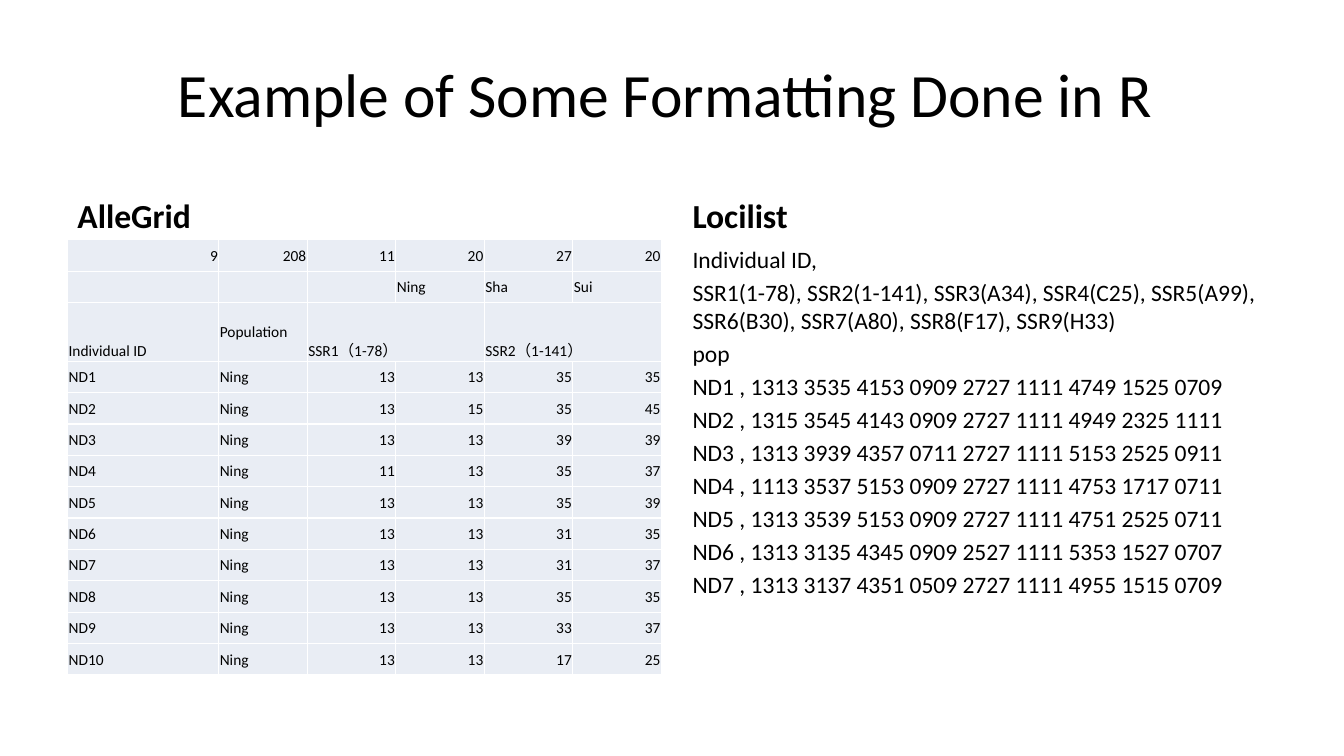
from lxml import etree
from pptx import Presentation
from pptx import util as u
from pptx.dml.color import RGBColor
from pptx.enum import text
from pptx.oxml.ns import qn

BLACK = RGBColor(0x00, 0x00, 0x00)
WHITE = RGBColor(0xFF, 0xFF, 0xFF)
PALE_BLUE = RGBColor(0xE9, 0xED, 0xF4)

LEFT, RIGHT = 0.67, 6.77
HEADING_TOP, HEADING_HEIGHT = 1.68, 0.7
BODY_TOP, BODY_HEIGHT = 2.38, 4.32
COLUMN_WIDTH = 5.89

GRID_ROWS = [
    ["9", "208", "11", "20", "27", "20"],
    ["", "", "", "Ning", "Sha", "Sui"],
    ["Individual ID", "Population", "SSR1（1-78）", "", "SSR2（1-141）", ""],
]
GENOTYPES = [
    "13 13 35 35", "13 15 35 45", "13 13 39 39", "11 13 35 37", "13 13 35 39",
    "13 13 31 35", "13 13 31 37", "13 13 35 35", "13 13 33 37", "13 13 17 25",
]
GRID_ROWS += [
    [f"ND{number}", "Ning", *genotype.split()]
    for number, genotype in enumerate(GENOTYPES, start=1)
]
HEADER_ROW = 2

LISTING_LINES = [
    "Individual ID,",
    "SSR1(1-78), SSR2(1-141), SSR3(A34), SSR4(C25), SSR5(A99), "
    "SSR6(B30), SSR7(A80), SSR8(F17), SSR9(H33)",
    "pop",
    "ND1 , 1313 3535 4153 0909 2727 1111 4749 1525 0709",
    "ND2 , 1315 3545 4143 0909 2727 1111 4949 2325 1111",
    "ND3 , 1313 3939 4357 0711 2727 1111 5153 2525 0911",
    "ND4 , 1113 3537 5153 0909 2727 1111 4753 1717 0711",
    "ND5 , 1313 3539 5153 0909 2727 1111 4751 2525 0711",
    "ND6 , 1313 3135 4345 0909 2527 1111 5353 1527 0707",
    "ND7 , 1313 3137 4351 0509 2727 1111 4955 1515 0709",
]


class SlideBuilder:
    """Holds the text style and the slide being filled."""

    font_name = "Calibri"
    color = BLACK

    def __init__(self, slide):
        self.slide = slide

    def add_run(self, paragraph, words, size, bold=False):
        run = paragraph.add_run()
        run.text = words
        run.font.name = self.font_name
        run.font.size = u.Pt(size)
        run.font.bold = bold
        run.font.color.rgb = self.color

    def title(self, words, left, top, width, height):
        shape = self.slide.shapes.title
        shape.left, shape.top = u.Inches(left), u.Inches(top)
        shape.width, shape.height = u.Inches(width), u.Inches(height)
        shape.text_frame.vertical_anchor = text.MSO_ANCHOR.MIDDLE
        paragraph = shape.text_frame.paragraphs[0]
        paragraph.alignment = text.PP_ALIGN.CENTER
        self.add_run(paragraph, words, 44)

    def text_box(self, lines, left, top, width, height, size,
                 bold=False, anchor=text.MSO_ANCHOR.TOP):
        shape = self.slide.shapes.add_textbox(
            u.Inches(left), u.Inches(top), u.Inches(width), u.Inches(height))
        frame = shape.text_frame
        frame.word_wrap = True
        frame.vertical_anchor = anchor
        for index, line in enumerate(lines):
            paragraph = frame.add_paragraph() if index else frame.paragraphs[0]
            paragraph.space_before = u.Pt(round(size * 0.2, 1))
            self.add_run(paragraph, line, size, bold)

    def heading(self, words, left):
        self.text_box([words], left, HEADING_TOP, COLUMN_WIDTH, HEADING_HEIGHT,
                      24, bold=True, anchor=text.MSO_ANCHOR.BOTTOM)

    def table(self, rows, left, top, width, height, first_width, header_height):
        table = self.slide.shapes.add_table(
            len(rows), len(rows[0]), u.Inches(left), u.Inches(top),
            u.Inches(width), u.Inches(height)).table
        table.first_row = table.horz_banding = False
        other_width = (width - first_width) / (len(rows[0]) - 1)
        for index, column in enumerate(table.columns):
            column.width = u.Inches(other_width if index else first_width)
        other_height = (height - header_height) / (len(rows) - 1)
        for index, row in enumerate(table.rows):
            row.height = u.Inches(
                header_height if index == HEADER_ROW else other_height)
        for row_index, values in enumerate(rows):
            for column_index, value in enumerate(values):
                self.fill_cell(table.cell(row_index, column_index), value)
        for column_index in (2, 4):
            table.cell(HEADER_ROW, column_index).merge(
                table.cell(HEADER_ROW, column_index + 1))
        for column_index in (0, 2, 4):
            table.cell(HEADER_ROW, column_index).vertical_anchor = (
                text.MSO_ANCHOR.BOTTOM)

    def fill_cell(self, cell, value):
        cell.margin_left = cell.margin_right = cell.margin_top = u.Inches(0.01)
        cell.margin_bottom = 0
        cell.vertical_anchor = text.MSO_ANCHOR.MIDDLE
        self.border(cell)
        cell.fill.solid()
        cell.fill.fore_color.rgb = PALE_BLUE
        if value:
            paragraph = cell.text_frame.paragraphs[0]
            paragraph.alignment = (text.PP_ALIGN.RIGHT if value.isdigit()
                                   else text.PP_ALIGN.LEFT)
            self.add_run(paragraph, value, 11)

    def border(self, cell):
        """Draw a thin white line on all four sides; call before filling."""
        properties = cell._tc.get_or_add_tcPr()
        for side in ("a:lnL", "a:lnR", "a:lnT", "a:lnB"):
            line = etree.SubElement(properties, qn(side), w=str(u.Pt(1)))
            fill = etree.SubElement(line, qn("a:solidFill"))
            etree.SubElement(fill, qn("a:srgbClr"), val=str(WHITE))


def main():
    presentation = Presentation()
    presentation.slide_width = u.Inches(13.33)
    presentation.slide_height = u.Inches(7.5)
    title_only = presentation.slide_layouts.get_by_name("Title Only")
    builder = SlideBuilder(presentation.slides.add_slide(title_only))

    builder.title("Example of Some Formatting Done in R ", LEFT, 0.3, 12, 1.25)
    builder.heading("AlleGrid", LEFT)
    builder.table(GRID_ROWS, LEFT, BODY_TOP, COLUMN_WIDTH, BODY_HEIGHT,
                  first_width=1.5, header_height=0.58)
    builder.heading("Locilist", RIGHT)
    builder.text_box(LISTING_LINES, RIGHT, BODY_TOP, COLUMN_WIDTH, BODY_HEIGHT,
                     16.8)
    presentation.save("out.pptx")


if __name__ == "__main__":
    main()
